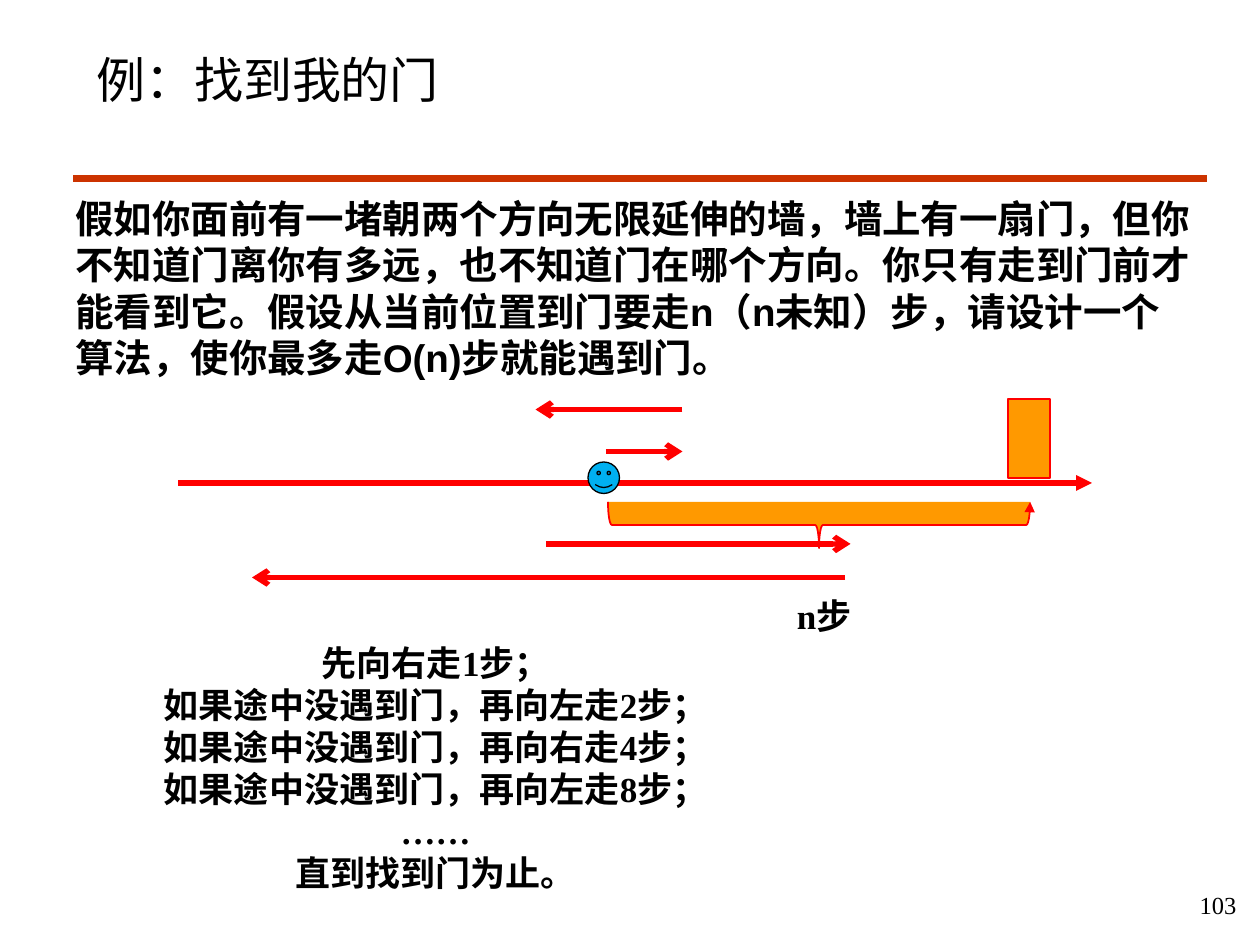
"""Build the slide about searching for a door along an endless wall."""
from collections import namedtuple

from lxml import etree
from pptx import Presentation
from pptx import util as u
from pptx.dml.color import RGBColor
from pptx.enum import shapes, text
from pptx.oxml.ns import qn

COLORS = {"text": "000000", "rule": "CC3300", "walk": "FF0000", "door": "FF9900", "face": "00B0F0"}
COLUMNS, ROWS = 120, 90
CELL = u.Inches(10) / COLUMNS
SERIF, SANS = "Times New Roman", "Arial"

Box = namedtuple("Box", "left top width height")

STEPS = [
    "先向右走1步；",
    "如果途中没遇到门，再向左走2步；",
    "如果途中没遇到门，再向右走4步；",
    "如果途中没遇到门，再向左走8步；",
    "……",
    "直到找到门为止。",
]
PROBLEM = (
    "假如你面前有一堵朝两个方向无限延伸的墙，墙上有一扇门，但你不知道门离你有多远，"
    "也不知道门在哪个方向。你只有走到门前才能看到它。假设从当前位置到门要走n（n未知）步，"
    "请设计一个算法，使你最多走O(n)步就能遇到门。"
)


def cells(count):
    """Return a length of so many grid cells."""
    return u.Emu(round(count * CELL))


def color(name):
    """Return a named colour."""
    return RGBColor.from_string(COLORS[name])


def add_text(slide, box, lines, size, font=SERIF, bold=False,
             align=text.PP_ALIGN.LEFT, anchor=text.MSO_ANCHOR.TOP):
    """Place lines of text in a box, one paragraph each."""
    frame = slide.shapes.add_textbox(*map(cells, box)).text_frame
    frame.word_wrap = True
    frame.vertical_anchor = anchor
    frame.text = "\n".join(lines)
    for paragraph in frame.paragraphs:
        paragraph.alignment = align
        paragraph.font.size = u.Pt(size)
        paragraph.font.name = font
        paragraph.font.bold = bold
        paragraph.font.color.rgb = color("text")


def add_arrowhead(line, kind):
    """Put an arrowhead at the end of an outline."""
    etree.SubElement(line._get_or_add_ln(), qn("a:tailEnd"), type=kind)


def add_line(slide, start, end, y, line_color, width, head=None):
    """Draw a level line, with an arrowhead if one is named."""
    connector = slide.shapes.add_connector(
        shapes.MSO_CONNECTOR.STRAIGHT, *map(cells, (start, y, end, y)))
    connector.line.color.rgb = color(line_color)
    connector.line.width = u.Pt(width)
    if head:
        add_arrowhead(connector.line, head)
    etree.SubElement(connector._element.spPr, qn("a:effectLst"))


def add_figure(slide, kind, box, fill, outline, width):
    """Draw a filled preset shape."""
    shape = slide.shapes.add_shape(kind, *map(cells, box))
    shape.shadow.inherit = False
    shape.fill.solid()
    shape.fill.fore_color.rgb = color(fill)
    shape.line.color.rgb = color(outline)
    shape.line.width = u.Pt(width)
    return shape


def add_brace(slide, box):
    """Draw a brace that opens upward and fills the box."""
    middle_x, middle_y = box.left + box.width / 2, box.top + box.height / 2
    upright = Box(middle_x - box.height / 2, middle_y - box.width / 2, box.height, box.width)
    brace = add_figure(slide, shapes.MSO_SHAPE.LEFT_BRACE, upright, "door", "walk", 1)
    brace.rotation = 270
    brace._element.spPr.xfrm.set("flipV", "1")
    add_arrowhead(brace.line, "triangle")


def add_header(slide, box):
    """Place the title and the rule below it."""
    add_text(slide, Box(box.left + 1, box.top, 99.6, 9), ["例：找到我的门"], 28,
             anchor=text.MSO_ANCHOR.MIDDLE)
    add_line(slide, box.left, box.left + box.width, box.top + box.height, "rule", 4.5)


def add_wall(slide, box):
    """Draw the wall with its door, the walker and the growing walks."""
    left, top = box.left, box.top
    wall_y = top + 8
    add_line(slide, left, left + box.width, wall_y, "walk", 3, "triangle")
    add_figure(slide, shapes.MSO_SHAPE.RECTANGLE, Box(left + 79, top, 4, 7.5), "door", "walk", 1)
    add_brace(slide, Box(left + 40.9, wall_y + 1.8, 40.2, 4.4))
    add_text(slide, Box(left + 55, wall_y + 10, 13, 6), ["n步"], 20, bold=True,
             align=text.PP_ALIGN.CENTER)
    walks = [(40.7, 48, 5), (48, 34, 1), (35, 64, 13.8), (63.5, 7, 17)]
    for start, end, y in walks:
        add_line(slide, left + start, left + end, top + y, "walk", 3, "arrow")
    add_figure(slide, shapes.MSO_SHAPE.SMILEY_FACE, Box(left + 39, wall_y - 2, 3, 3),
               "face", "text", 0.75)


def main():
    """Build and save the presentation."""
    presentation = Presentation()
    presentation.slide_width, presentation.slide_height = cells(COLUMNS), cells(ROWS)
    slide = presentation.slides.add_slide(presentation.slide_layouts[6])
    add_header(slide, Box(7, 3, 108, 14))
    add_text(slide, Box(6, 18, 109, 19), [PROBLEM], 22, font=SANS, bold=True)
    add_wall(slide, Box(17, 38, 87, 17))
    add_text(slide, Box(0, 60.5, 83, 29.5), STEPS, 20, bold=True, align=text.PP_ALIGN.CENTER)
    add_text(slide, Box(113, 84.2, 6, 4.8), ["103"], 14, align=text.PP_ALIGN.CENTER)
    presentation.save("out.pptx")


if __name__ == "__main__":
    main()
